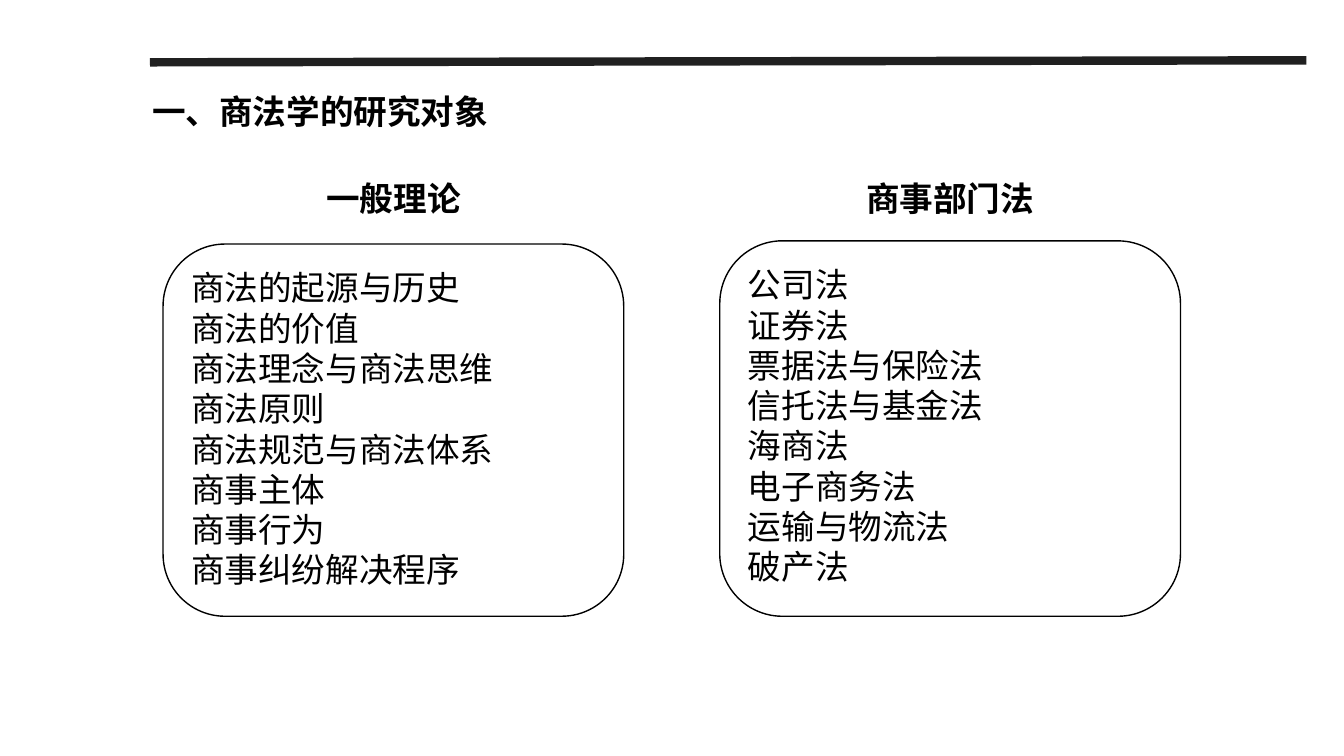
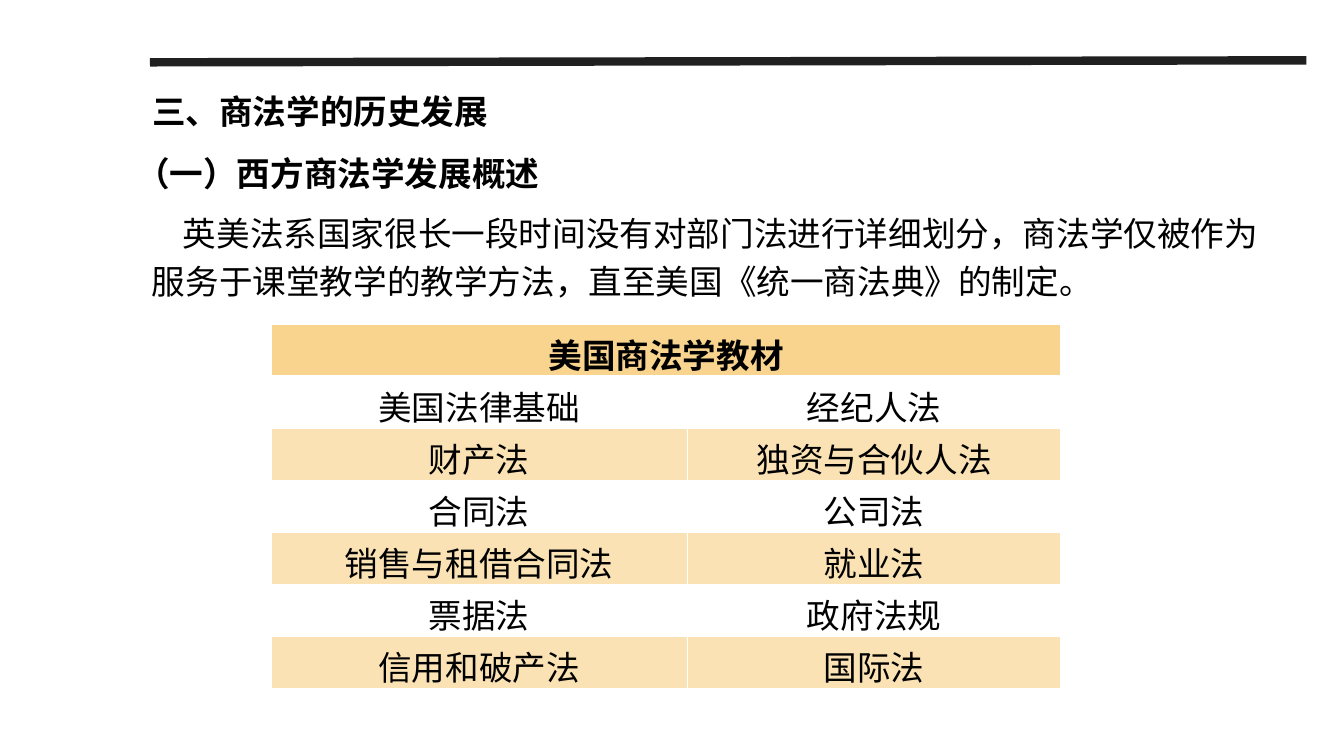
import pptx
import pptx.util
import pptx.dml.color
import pptx.enum.shapes
import pptx.enum.text
import pptx.oxml.ns
from lxml import etree

Cm = pptx.util.Cm
Pt = pptx.util.Pt
qn = pptx.oxml.ns.qn
ALIGN = pptx.enum.text.PP_ALIGN
ANCHOR = pptx.enum.text.MSO_ANCHOR

FONT = "Noto Sans CJK SC"
SIZE = 24
BLACK = "000000"
WHITE = "FFFFFF"
RULE = "202020"
HEADER = "F8D48F"
BAND = "FAE2B5"

THEORY = ["商法的起源与历史", "商法的价值", "商法理念与商法思维", "商法原则",
          "商法规范与商法体系", "商事主体", "商事行为", "商事纠纷解决程序"]
BRANCHES = ["公司法", "证券法", "票据法与保险法", "信托法与基金法",
            "海商法", "电子商务法", "运输与物流法", "破产法"]
COURSES = [("美国法律基础", "经纪人法"), ("财产法", "独资与合伙人法"),
           ("合同法", "公司法"), ("销售与租借合同法", "就业法"),
           ("票据法", "政府法规"), ("信用和破产法", "国际法")]


def color(value):
    return pptx.dml.color.RGBColor.from_string(value)


def add_run(p, text, bold=False):
    r = p.add_run()
    r.text = text
    r.font.size = Pt(SIZE)
    r.font.bold = bold
    r.font.name = FONT
    r.font.color.rgb = color(BLACK)
    ea = etree.SubElement(r.font._element, qn("a:ea"))
    ea.set("typeface", FONT)


def fill_text(tf, lines, bold=False, align=ALIGN.LEFT):
    tf.word_wrap = True
    for i, line in enumerate(lines):
        p = tf.add_paragraph() if i else tf.paragraphs[0]
        p.alignment = align
        add_run(p, line, bold)


def add_rule(s, layout):
    line = s.shapes.add_connector(pptx.enum.shapes.MSO_CONNECTOR.STRAIGHT,
                                  Cm(3.78), Cm(1.57), Cm(32.92), Cm(1.52))
    line.line.color.rgb = color(RULE)
    line.line.width = Pt(6)
    etree.SubElement(line._element.spPr, qn("a:effectLst"))
    layout.shapes.element.append(line._element)


def add_slide(prs, layout, title):
    s = prs.slides.add_slide(layout)
    sp = s.shapes.title
    sp.left, sp.top, sp.width, sp.height = Cm(3.58), Cm(1.96), Cm(15.3), Cm(1.78)
    tf = sp.text_frame
    fill_text(tf, [title], bold=True)
    tf.auto_size = pptx.enum.text.MSO_AUTO_SIZE.NONE
    tf.vertical_anchor = ANCHOR.MIDDLE
    tf.paragraphs[0].line_spacing = 0.9
    return s


def add_text(s, left, top, width, height, text, bold=False, align=ALIGN.LEFT):
    sp = s.shapes.add_textbox(Cm(left), Cm(top), Cm(width), Cm(height))
    fill_text(sp.text_frame, [text], bold, align)
    return sp.text_frame.paragraphs[0]


def add_topic(s, left, top, heading, items):
    width, bottom = 11.61, 15.53
    add_text(s, left, 4.37, width, 1.27, heading, True, ALIGN.CENTER)
    sp = s.shapes.add_shape(
        pptx.enum.shapes.MSO_SHAPE.FLOWCHART_ALTERNATE_PROCESS,
        Cm(left), Cm(top), Cm(width), Cm(bottom - top))
    sp.shadow.inherit = False
    sp.fill.background()
    sp.line.color.rgb = color(BLACK)
    sp.line.width = Pt(1)
    sp.text_frame.vertical_anchor = ANCHOR.TOP
    fill_text(sp.text_frame, items)


def add_border(cell, side, width):
    ln = etree.SubElement(cell._tc.get_or_add_tcPr(), qn("a:" + side))
    ln.set("w", str(Pt(width)))
    solid = etree.SubElement(ln, qn("a:solidFill"))
    etree.SubElement(solid, qn("a:srgbClr")).set("val", WHITE)


def format_cell(cell, fill, top=1, bottom=1):
    for side, width in (("lnL", 1), ("lnR", 1), ("lnT", top), ("lnB", bottom)):
        add_border(cell, side, width)
    if fill:
        cell.fill.solid()
        cell.fill.fore_color.rgb = color(fill)
    else:
        cell.fill.background()


def add_course_table(s, title, courses):
    widths, row_height = (10.49, 9.42), 1.31
    count = len(courses) + 1
    table = s.shapes.add_table(count, 2, Cm(6.83), Cm(8.18), Cm(sum(widths)),
                               Cm(row_height * count)).table
    table.first_row = False
    table.horz_banding = False
    for col, width in zip(table.columns, widths):
        col.width = Cm(width)
    for row in table.rows:
        row.height = Cm(row_height)
    for cell in table.rows[0].cells:
        format_cell(cell, HEADER, bottom=3)
    table.cell(0, 0).merge(table.cell(0, 1))
    fill_text(table.cell(0, 0).text_frame, [title], True, ALIGN.CENTER)
    for i, names in enumerate(courses, 1):
        for j, name in enumerate(names):
            cell = table.cell(i, j)
            format_cell(cell, None if i % 2 else BAND, top=3 if i == 1 else 1)
            fill_text(cell.text_frame, [name], align=ALIGN.CENTER)


def main():
    prs = pptx.Presentation()
    prs.slide_width, prs.slide_height = Cm(33.87), Cm(19.05)
    layout = prs.slide_layouts[5]

    s = add_slide(prs, layout, "一、商法学的研究对象")
    add_rule(s, layout)
    add_topic(s, 4.11, 6.15, "一般理论", THEORY)
    add_topic(s, 18.14, 6.07, "商事部门法", BRANCHES)

    s = add_slide(prs, layout, "三、商法学的历史发展")
    add_text(s, 3.18, 3.73, 25.4, 1.27, "（一）西方商法学发展概述", True)
    p = add_text(s, 3.58, 5.03, 28.7, 2.9,
                 "英美法系国家很长一段时间没有对部门法进行详细划分，商法学仅被作为"
                 "服务于课堂教学的教学方法，直至美国《统一商法典》的制定。")
    p.line_spacing = 1.2
    p.space_before = Pt(10)
    p._p.get_or_add_pPr().set("indent", str(Cm(0.78)))
    add_course_table(s, "美国商法学教材", COURSES)

    prs.save("out.pptx")


if __name__ == "__main__":
    main()
